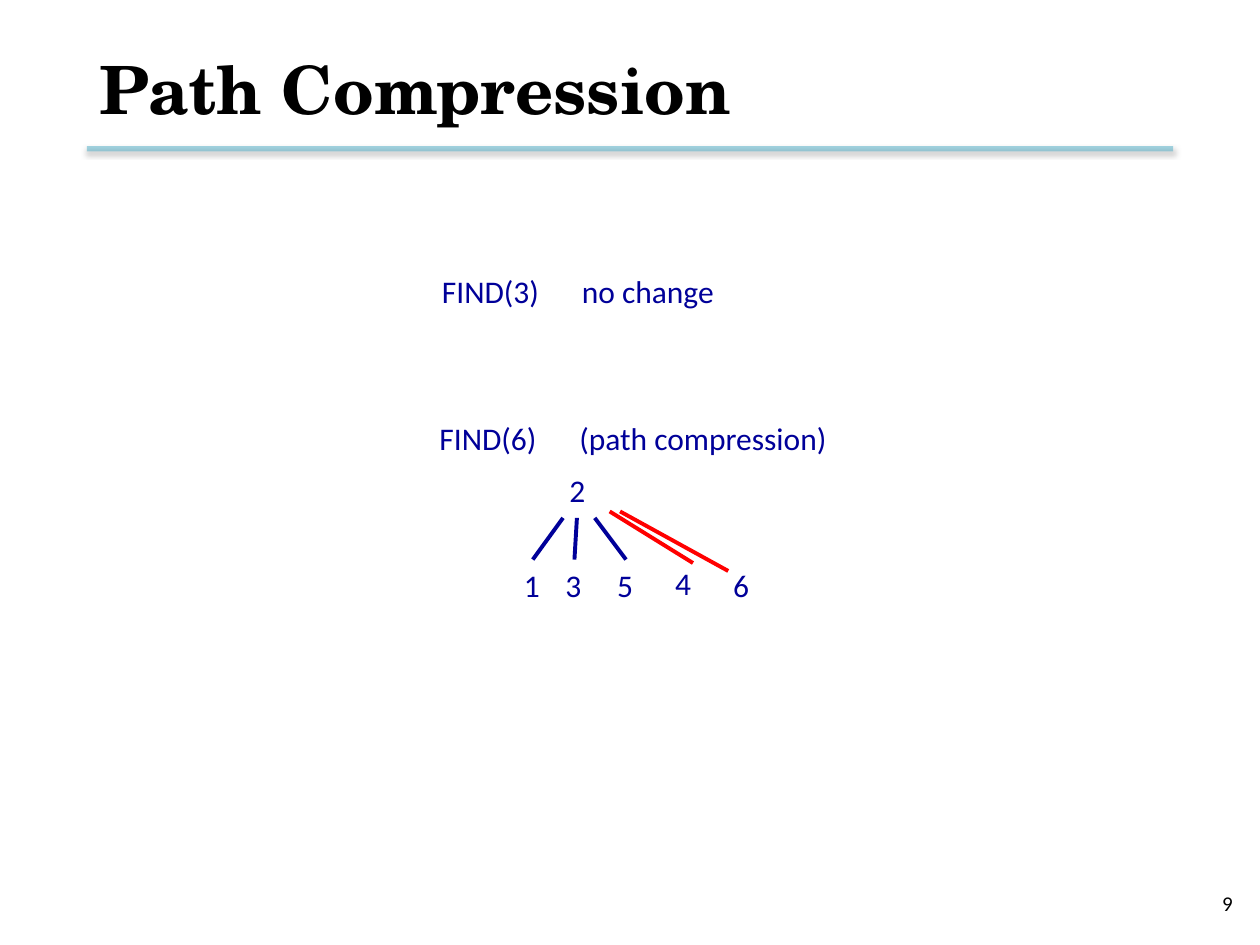
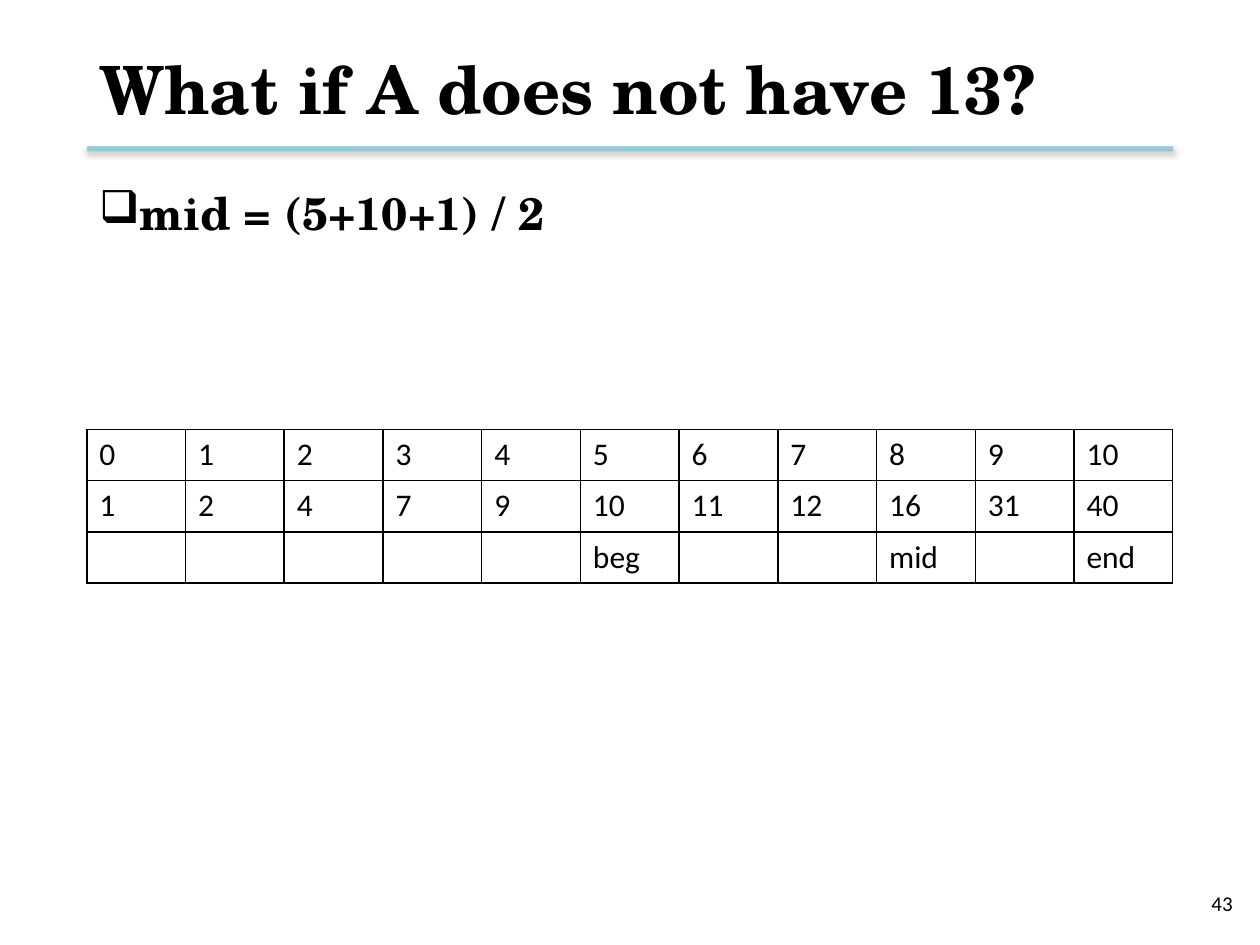
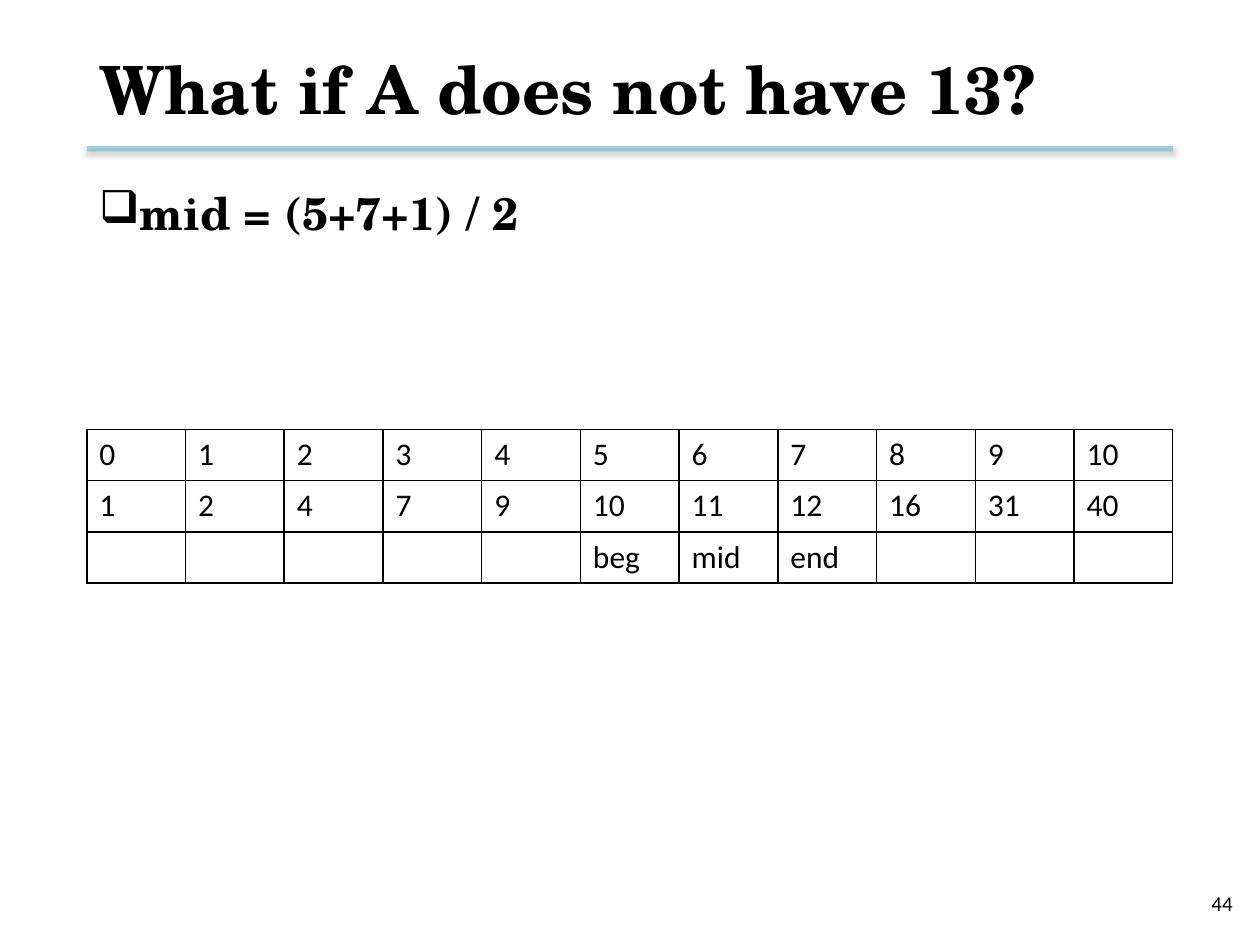
from lxml import etree
from pptx import Presentation
from pptx import util as u
from pptx.dml.color import RGBColor
from pptx.enum import shapes, text
from pptx.oxml.ns import qn

SERIF, SANS = "TeX Gyre Schola", "Calibri"
BLACK, NAVY, RED, TEAL = "000000", "000099", "FF0000", "4BACC6"
LEFT, WIDE = 1.75, 21.9
MID = text.MSO_ANCHOR.MIDDLE


def tint(code):
    return RGBColor.from_string(code)


def sub(node, tag, **attrs):
    return etree.SubElement(node, qn(tag), {k: str(v) for k, v in attrs.items()})


def write(frame, words, size=18, font=SANS, color=BLACK, bold=False,
          right=False, anchor=text.MSO_ANCHOR.TOP, tab=None, bullet=None):
    """Fill a text frame or table cell with one formatted paragraph."""
    para = frame.paragraphs[0]
    props = para._p.get_or_add_pPr()
    if bullet:
        props.set("marL", str(u.Cm(0.64)))
        props.set("indent", str(u.Cm(-1.14)))
        sub(props, "a:buChar", char=bullet)
    if tab:
        sub(sub(props, "a:tabLst"), "a:tab", pos=u.Cm(tab), algn="l")
    if right:
        para.alignment = text.PP_ALIGN.RIGHT
    run = para.add_run()
    run.text = words
    run.font.size, run.font.name, run.font.bold = u.Pt(size), font, bold
    run.font.color.rgb = tint(color)
    frame.word_wrap = True
    frame.vertical_anchor = anchor


class Deck:
    def __init__(self):
        self.prs = Presentation()
        self.prs.slide_width, self.prs.slide_height = u.Cm(25.4), u.Cm(19.05)

    def page(self, title, num):
        self.slide = self.prs.slides.add_slide(self.prs.slide_layouts[6])
        self.rule()
        self.label(num, 19.18, 17.7, 5.92, size=12, right=True, anchor=MID)
        self.label(title, LEFT, 0.43, WIDE, 2.69, size=38, font=SERIF,
                   bold=True, anchor=MID)

    def label(self, words, x, y, w, h=1.02, **style):
        box = self.slide.shapes.add_textbox(u.Cm(x), u.Cm(y), u.Cm(w), u.Cm(h))
        write(box.text_frame, words, **style)
        return box

    def line(self, x1, y1, x2, y2, color, width=2.25, node=None):
        """Draw a line, joined to the top of node if one is given."""
        link = self.slide.shapes.add_connector(
            shapes.MSO_CONNECTOR.STRAIGHT, u.Cm(x1), u.Cm(y1), u.Cm(x2), u.Cm(y2))
        link.line.color.rgb = tint(color)
        link.line.width = u.Pt(width)
        if node is not None:
            link.end_connect(node, 0)
        return link, sub(link._element.spPr, "a:effectLst")

    def rule(self):
        """Draw the half-clear line with a soft shadow under the title."""
        link, glow = self.line(LEFT, 3, LEFT + WIDE, 3, TEAL, 3)
        hue = next(link._element.spPr.iter(qn("a:srgbClr")))
        sub(hue, "a:alpha", val=50000)
        cast = sub(glow, "a:outerShdw", blurRad=u.Pt(3.1), dist=u.Pt(1.6),
                   dir=5400000, rotWithShape=0)
        sub(sub(cast, "a:srgbClr", val=BLACK), "a:alpha", val=38000)

    def table(self, rows, x, y, step, high):
        wide, tall = len(rows[0]), len(rows)
        grid = self.slide.shapes.add_table(
            tall, wide, u.Cm(x), u.Cm(y), u.Cm(step * wide), u.Cm(high * tall)).table
        grid.first_row = grid.horz_banding = False
        for col in grid.columns:
            col.width = u.Cm(step)
        for r, row in enumerate(rows):
            grid.rows[r].height = u.Cm(high)
            for c, words in enumerate(row):
                self.cell(grid.cell(r, c), words)

    def cell(self, cell, words):
        props = cell._tc.get_or_add_tcPr()
        for side in "LRTB":
            edge = sub(props, "a:ln" + side, w=u.Pt(1))
            sub(sub(edge, "a:solidFill"), "a:srgbClr", val=BLACK)
        cell.fill.background()
        if words:
            write(cell.text_frame, words)


def paths(deck):
    deck.page("Path Compression", "9")
    deck.label("FIND(3)\tno change", 8.66, 5.36, 6.88, color=NAVY, tab=2.82)
    deck.label("FIND(6)\t(path compression)", 8.61, 8.33, 9.4, color=NAVY, tab=2.82)
    spots = {"2": (11.23, 9.37), "1": (10.31, 11.28), "3": (11.15, 11.28),
             "5": (12.19, 11.28), "4": (13.36, 11.25), "6": (14.53, 11.28)}
    nodes = {key: deck.label(key, x, y, 0.86, color=NAVY)
             for key, (x, y) in spots.items()}
    for key, x in (("1", 11.35), ("3", 11.63), ("5", 11.99)):
        deck.line(x, 10.44, x, 11.28, NAVY, node=nodes[key])
    for x1, x2, y2 in ((12.5, 14.68, 11.51), (12.29, 13.97, 11.35)):
        deck.line(x1, 10.31, x2, y2, RED)


def search(deck, num, total, marks):
    """Show one step of the search; marks maps an index to its name."""
    deck.page("What if A does not have 13?", num)
    values = [1, 2, 4, 7, 9, 10, 11, 12, 16, 31, 40]
    span = range(len(values))
    rows = [[str(i) for i in span], [str(v) for v in values],
            [marks.get(i, "") for i in span]]
    deck.table(rows, LEFT, 8.66, 1.99, 1.03)
    deck.label(f"mid = ({total}) / 2", LEFT, 3.61, WIDE, 12.95, size=26,
               font=SERIF, bold=True, bullet="❑")


def main():
    deck = Deck()
    paths(deck)
    search(deck, "43", "5+10+1", {5: "beg", 8: "mid", 10: "end"})
    search(deck, "44", "5+7+1", {5: "beg", 6: "mid", 7: "end"})
    deck.prs.save("out.pptx")


if __name__ == "__main__":
    main()
